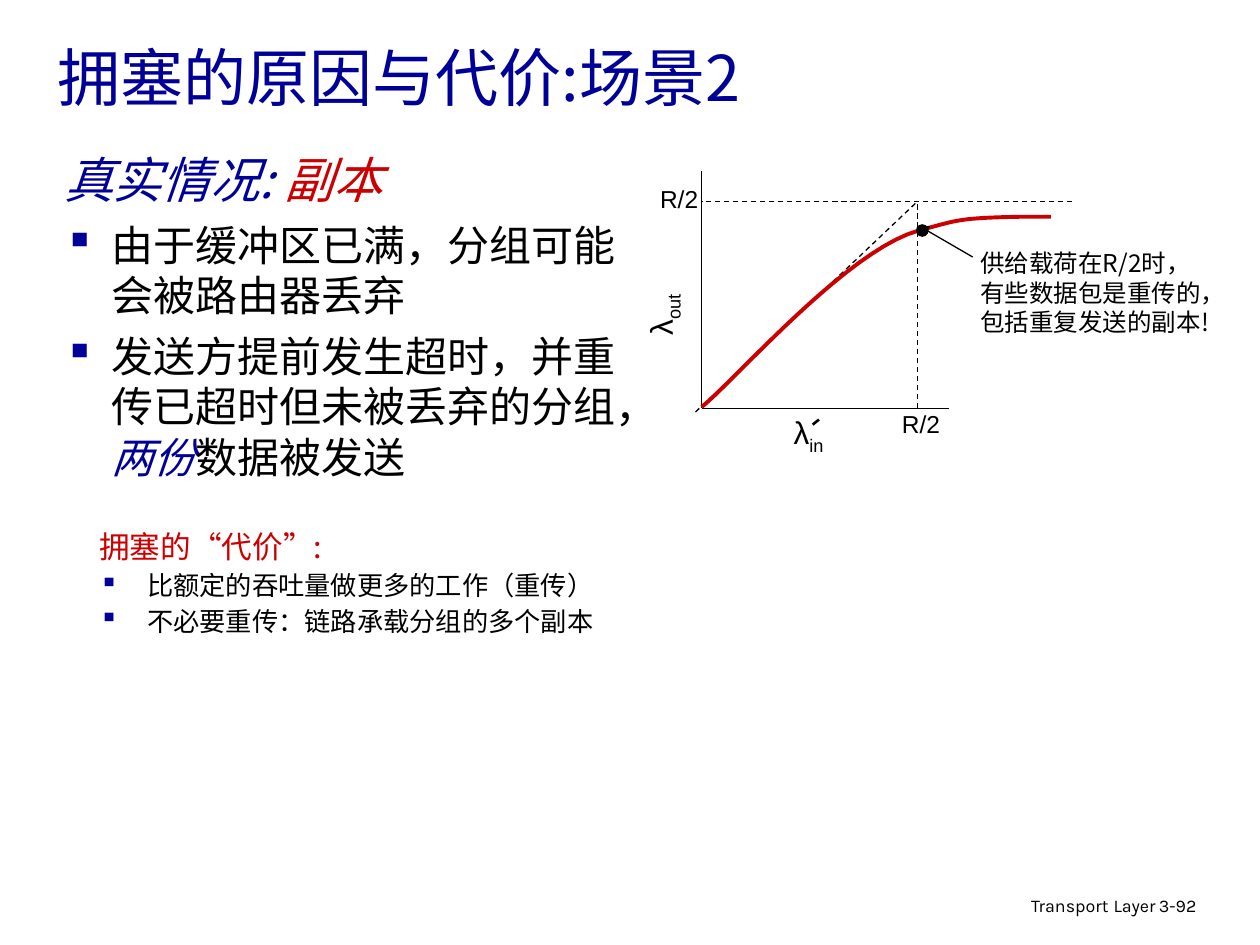
import pptx
import pptx.dml.color
import pptx.enum.dml
import pptx.enum.shapes
import pptx.enum.text
import pptx.oxml
import pptx.oxml.ns
import pptx.util
from lxml import etree

Inches = pptx.util.Inches
Pt = pptx.util.Pt
qn = pptx.oxml.ns.qn
COLORS = {"text": "000000", "accent": "000099", "alert": "CC0000"}
CJK = "Noto Sans CJK SC"
AXIS_LEFT, AXIS_BOTTOM = 5.57, 3.24
CAPACITY_X, CAPACITY_Y = 7.28, 1.6
CURVE_START = (5.57, 3.23)
CURVE_PIECES = [
    [(5.85, 3), (6.72, 1.99), (7.29, 1.83)],
    [(7.6, 1.75), (7.58, 1.73), (8.11, 1.72)],
    [(8.34, 1.72), (8.29, 1.72), (8.34, 1.72)],
]


def rgb(name):
    return pptx.dml.color.RGBColor.from_string(COLORS[name])


def add_bullet(paragraph):
    properties = paragraph._p.get_or_add_pPr()
    bullet_color = etree.SubElement(properties, qn("a:buClr"))
    etree.SubElement(bullet_color, qn("a:srgbClr"), val=COLORS["accent"])
    etree.SubElement(properties, qn("a:buChar"), char="▪")


def add_run(paragraph, words, size, color="text", font=CJK, italic=False, baseline=0):
    run = paragraph.add_run()
    run.text = words
    run.font.size = Pt(size)
    run.font.italic = italic
    run.font.color.rgb = rgb(color)
    run.font.name = font
    properties = run._r.get_or_add_rPr()
    etree.SubElement(properties, qn("a:ea"), typeface=font)
    if baseline:
        properties.set("baseline", str(baseline * 1000))


def add_text(slide, place, paragraphs, *, size, bulleted=False, wrap=True, align=None,
             middle=False, rotation=0, line_spacing=None, space_before=0, **run_format):
    """Each paragraph is a list of (words, format overrides); bullets start at the second."""
    box = slide.shapes.add_textbox(*map(Inches, place))
    box.rotation = rotation
    frame = box.text_frame
    frame.word_wrap = wrap
    if middle:
        frame.vertical_anchor = pptx.enum.text.MSO_ANCHOR.MIDDLE
    for index, runs in enumerate(paragraphs):
        paragraph = frame.add_paragraph() if index else frame.paragraphs[0]
        if bulleted:
            properties = paragraph._p.get_or_add_pPr()
            properties.set("marL", str(Inches(0.38)))
            properties.set("indent", str(Inches(-0.38)))
            if index:
                add_bullet(paragraph)
        if index:
            paragraph.space_before = Pt(space_before)
        if line_spacing:
            paragraph.line_spacing = line_spacing
        if align:
            paragraph.alignment = align
        for words, overrides in runs:
            add_run(paragraph, words, **{"size": size, **run_format, **overrides})


def add_line(slide, start, end, width=0.75, dashed=False, arrow=False):
    line = slide.shapes.add_connector(
        pptx.enum.shapes.MSO_CONNECTOR.STRAIGHT, *map(Inches, start + end))
    line.line.color.rgb = rgb("text")
    line.line.width = Pt(width)
    if dashed:
        line.line.dash_style = pptx.enum.dml.MSO_LINE.DASH
    if arrow:
        etree.SubElement(line.line._get_or_add_ln(), qn("a:tailEnd"), type="triangle")
    etree.SubElement(line._element.spPr, qn("a:effectLst"))


def bezier_points(start, controls, steps=20):
    corners = [start] + controls
    for step in range(1, steps + 1):
        t = step / steps
        weights = ((1 - t) ** 3, 3 * t * (1 - t) ** 2, 3 * t * t * (1 - t), t ** 3)
        yield tuple(Inches(sum(w * c[axis] for w, c in zip(weights, corners)))
                    for axis in (0, 1))


def add_throughput_curve(slide):
    builder = slide.shapes.build_freeform(*map(Inches, CURVE_START))
    start = CURVE_START
    for controls in CURVE_PIECES:
        builder.add_line_segments(bezier_points(start, controls), close=False)
        start = controls[-1]
    curve = builder.convert_to_shape()
    curve.shadow.inherit = False
    curve.fill.background()
    curve.line.color.rgb = rgb("alert")
    curve.line.width = Pt(2.25)


def add_operating_point(slide):
    dot = slide.shapes.add_shape(
        pptx.enum.shapes.MSO_SHAPE.OVAL, *map(Inches, (7.27, 1.78, 0.1, 0.1)))
    dot.shadow.inherit = False
    dot.fill.solid()
    dot.fill.fore_color.rgb = rgb("text")
    dot.line.fill.background()


def add_graph(slide):
    add_line(slide, (AXIS_LEFT, 1.36), (AXIS_LEFT, AXIS_BOTTOM))
    add_line(slide, (AXIS_LEFT, AXIS_BOTTOM), (7.53, AXIS_BOTTOM))
    add_line(slide, (8.51, CAPACITY_Y), (AXIS_LEFT, CAPACITY_Y), dashed=True)
    add_line(slide, (5.52, 3.27), (CAPACITY_X, CAPACITY_Y), dashed=True)
    add_line(slide, (CAPACITY_X, AXIS_BOTTOM), (CAPACITY_X, CAPACITY_Y), dashed=True)
    add_throughput_curve(slide)
    for left, top in ((5.14, 1.41), (7.06, 3.2)):
        add_text(slide, (left, top, 0.5, 0.34), [[("R/2", {})]],
                 size=14, font="Arial", wrap=False)
    for place, subscript, rotation in (((4.92, 2.2, 0.68, 0.44), "out", 270),
                                       ((6.2, 3.23, 0.45, 0.44), "in", 0)):
        add_text(slide, place, [[("λ", {}), (subscript, {"baseline": -25})]],
                 size=18, font="Arial", rotation=rotation, wrap=rotation != 0)
    add_line(slide, (6.45, 3.37), (6.5, 3.33), width=1.5)
    add_operating_point(slide)
    add_line(slide, (7.72, 2.04), (7.29, 1.79), arrow=True)
    add_text(slide, (7.68, 1.92, 2.06, 1.04),
             [[("供给载荷在R/2时，有些数据包是重传的，包括重复发送的副本!", {})]], size=14)


def main():
    deck = pptx.Presentation()
    deck.slide_width, deck.slide_height = Inches(10), Inches(7.5)
    slide = deck.slides.add_slide(deck.slide_layouts[6])
    emphasis = {"color": "accent", "italic": True}

    add_text(slide, (0.36, 0.13, 8.5, 0.95), [[("拥塞的原因与代价:场景2", {})]],
             size=36, color="accent", middle=True)
    add_text(slide, (0.41, 1.14, 4.71, 2.1), [
        [("真实情况: ", {"size": 28, **emphasis}),
         ("副本", {"size": 28, "color": "alert", "italic": True})],
        [("由于缓冲区已满，分组可能会被路由器丢弃", {})],
        [("发送方提前发生超时，并重传已超时但未被丢弃的分组，", {}),
         ("两份", emphasis), ("数据被发送", {})],
    ], size=24, bulleted=True, space_before=6)
    add_graph(slide)
    add_text(slide, (0.69, 4.2, 8.91, 1.08), [
        [("拥塞的“代价”:", {"size": 17.5, "color": "alert"})],
        [("比额定的吞吐量做更多的工作（重传）", {})],
        [("不必要重传：链路承载分组的多个副本", {})],
    ], size=15, bulleted=True, line_spacing=0.8, space_before=6)
    add_text(slide, (6.1, 7.05, 3.17, 0.31),
             [[("Transport", {}), (" ", {"size": 11.9}), ("Layer", {})]], size=10.2,
             font="Karla", line_spacing=0.9, align=pptx.enum.text.PP_ALIGN.RIGHT)
    add_text(slide, (9.1, 7.07, 0.74, 0.3), [[("3-92", {})]],
             size=10.2, font="Karla", line_spacing=0.9)
    deck.save("out.pptx")


if __name__ == "__main__":
    main()
